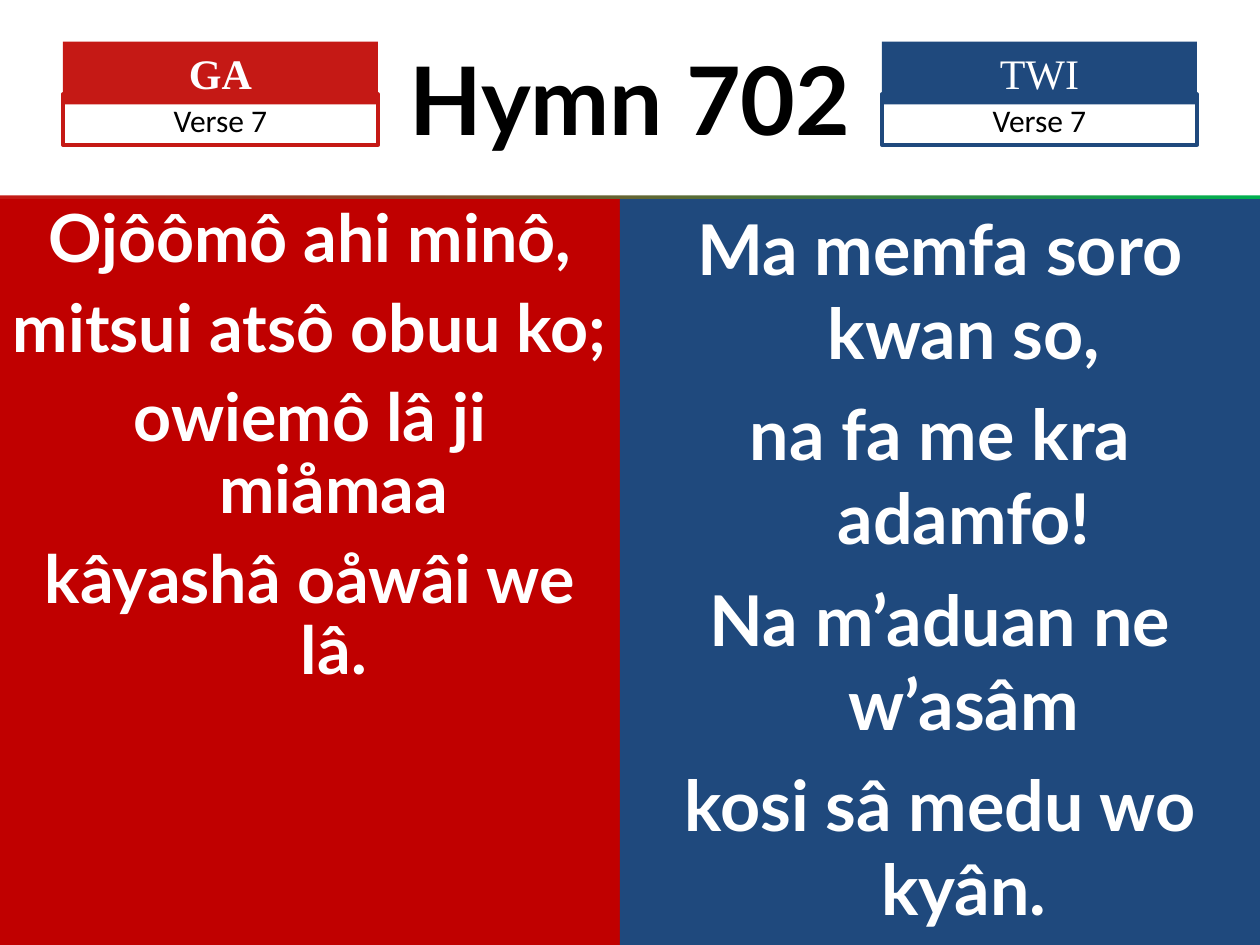
from dataclasses import dataclass
from typing import Optional, Sequence

from pptx import Presentation
from pptx.dml.color import RGBColor
from pptx.enum.shapes import MSO_SHAPE
from pptx.enum.text import MSO_ANCHOR, MSO_AUTO_SIZE, PP_ALIGN
from pptx.util import Inches, Pt


@dataclass(frozen=True)
class Theme:
    white: str = "FFFFFF"
    black: str = "000000"
    ga_red: str = "C51915"
    panel_red: str = "C00000"
    twi_blue: str = "1F497D"
    green: str = "00B050"
    main_font: str = "Lato"
    label_font: str = "Times New Roman"
    verse_font: str = "Calibri"
    title_size: float = 54
    label_size: float = 24
    verse_size: float = 18
    border_width: float = 2.25


THEME = Theme()


@dataclass(frozen=True)
class Language:
    name: str
    verse: str
    lines: Sequence[str]
    label_left: float
    label_color: str
    label_bold: bool
    panel_left: float
    panel_width: float
    panel_color: str
    lyric_size: float
    line_spacing: float
    space_before: float


LANGUAGES = [
    Language("GA", "Verse 7",
             ["Ojôômô ahi minô,", "mitsui atsô obuu ko;",
              "owiemô lâ ji miåmaa", "kâyashâ oåwâi we lâ."],
             0.5, THEME.ga_red, True, 0, 4.92, THEME.panel_red, 37.9, 0.9, 10.3),
    Language("TWI", "Verse 7",
             ["Ma memfa soro kwan so,", "na fa me kra adamfo!",
              "Na m’aduan ne w’asâm", "kosi sâ medu wo kyân."],
             7, THEME.twi_blue, False, 4.92, 5.08, THEME.twi_blue, 40, 1.0, 10),
]


def add_box(slide, left: float, top: float, width: float, height: float,
            fill: Optional[str] = None, border: Optional[str] = None):
    box = slide.shapes.add_shape(MSO_SHAPE.RECTANGLE, Inches(left), Inches(top),
                                 Inches(width), Inches(height))
    box.shadow.inherit = False
    if fill:
        box.fill.solid()
        box.fill.fore_color.rgb = RGBColor.from_string(fill)
    else:
        box.fill.background()
    if border:
        box.line.color.rgb = RGBColor.from_string(border)
        box.line.width = Pt(THEME.border_width)
    else:
        box.line.fill.background()
    return box


def write(box, lines: Sequence[str], *, size: float, font: str, color: str,
          bold: bool = False, anchor=MSO_ANCHOR.TOP, grow: bool = False,
          hanging: float = 0, line_spacing: float = 1.0,
          space_before: float = 0) -> None:
    frame = box.text_frame
    frame.word_wrap = True
    frame.vertical_anchor = anchor
    frame.auto_size = (MSO_AUTO_SIZE.SHAPE_TO_FIT_TEXT if grow
                       else MSO_AUTO_SIZE.NONE)
    for index, line in enumerate(lines):
        paragraph = frame.add_paragraph() if index else frame.paragraphs[0]
        paragraph.alignment = PP_ALIGN.CENTER
        paragraph.line_spacing = line_spacing
        paragraph.space_before = Pt(space_before if index else 0)
        if hanging:
            properties = paragraph._p.get_or_add_pPr()
            properties.set("marL", str(Inches(hanging)))
            properties.set("indent", str(-Inches(hanging)))
        run = paragraph.add_run()
        run.text = line
        run.font.size = Pt(size)
        run.font.name = font
        run.font.bold = bold
        run.font.color.rgb = RGBColor.from_string(color)


def set_background(slide) -> None:
    fill = slide.background.fill
    fill.gradient()
    fill.gradient_angle = 0
    ends = ((0, THEME.ga_red), (1, THEME.green))
    for stop, (position, color) in zip(fill.gradient_stops, ends):
        stop.position = position
        stop.color.rgb = RGBColor.from_string(color)


def add_lyrics(slide, language: Language) -> None:
    panel = add_box(slide, language.panel_left, 1.58, language.panel_width, 5.92,
                    fill=language.panel_color)
    write(panel, language.lines, size=language.lyric_size, font=THEME.main_font,
          color=THEME.white, bold=True, hanging=0.38,
          line_spacing=language.line_spacing, space_before=language.space_before)


def add_label(slide, language: Language) -> None:
    label = add_box(slide, language.label_left, 0.33, 2.5, 0.5,
                    fill=language.label_color)
    write(label, [language.name], size=THEME.label_size, font=THEME.label_font,
          color=THEME.white, bold=language.label_bold, grow=True)
    verse = add_box(slide, language.label_left, 0.75, 2.5, 0.4,
                    border=language.label_color)
    write(verse, [language.verse], size=THEME.verse_size, font=THEME.verse_font,
          color=THEME.black, grow=True)


def main() -> None:
    deck = Presentation()
    deck.slide_width, deck.slide_height = Inches(10), Inches(7.5)
    slide = deck.slides.add_slide(deck.slide_layouts[6])
    set_background(slide)

    # Title band; the background shows as a thin rule beneath it
    title = add_box(slide, 0, 0, 10, 1.55, fill=THEME.white)
    write(title, ["Hymn 702"], size=THEME.title_size, font=THEME.main_font,
          color=THEME.black, bold=True, anchor=MSO_ANCHOR.MIDDLE)

    # Lyrics and heading for each language
    for language in LANGUAGES:
        add_lyrics(slide, language)
        add_label(slide, language)

    deck.save("out.pptx")


if __name__ == "__main__":
    main()
